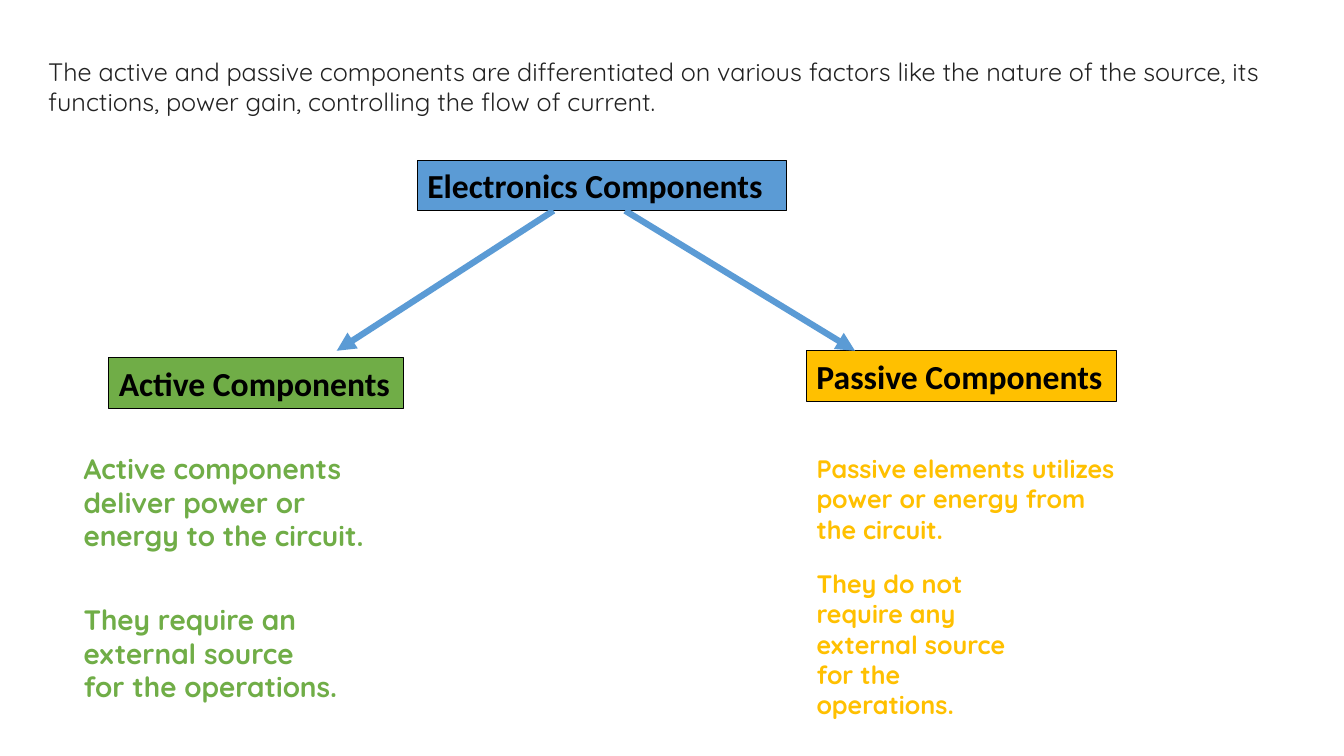
from dataclasses import dataclass
from pptx import Presentation
from pptx.dml.color import RGBColor as Rgb
from pptx.enum.shapes import MSO_CONNECTOR as Conn, MSO_SHAPE as Shape
from pptx.enum.text import MSO_ANCHOR as Anchor, MSO_AUTO_SIZE as Fit, PP_ALIGN as Align
from pptx.oxml.ns import qn
from pptx.util import Pt
from lxml.etree import SubElement as Sub

UNIT = 9144  # EMU in one px, 100 px to the inch


@dataclass(frozen=True)
class Theme:
    blue: str = "5B9BD5"
    green: str = "70AD47"
    gold: str = "FFC000"
    black: str = "000000"
    ink: str = "222222"
    head: str = "Calibri"
    body: str = "Quicksand"
    title: int = 24
    large: int = 20
    small: int = 18
    edge: float = 0.75
    arrow: float = 4.5


LOOK = Theme()


def px(*vals):
    return [val * UNIT for val in vals]


def write(shape, text, font, size, color, bold=True, wrap=True):
    frame = shape.text_frame
    frame.word_wrap = wrap
    frame.auto_size = Fit.SHAPE_TO_FIT_TEXT
    frame.vertical_anchor = Anchor.TOP
    para = frame.paragraphs[0]
    para.alignment = Align.LEFT
    run = para.add_run()
    run.text = text
    run.font.name = font
    run.font.size = Pt(size)
    run.font.bold = bold
    run.font.color.rgb = Rgb.from_string(color)


def label(slide, box, text, fill, wrap=False):
    shape = slide.shapes.add_shape(Shape.RECTANGLE, *px(*box))
    shape.shadow.inherit = False
    shape.fill.solid()
    shape.fill.fore_color.rgb = Rgb.from_string(fill)
    shape.line.color.rgb = Rgb.from_string(LOOK.black)
    shape.line.width = Pt(LOOK.edge)
    write(shape, text, LOOK.head, LOOK.title, LOOK.black, wrap=wrap)


def note(slide, box, text, size, color, bold=True):
    shape = slide.shapes.add_textbox(*px(*box))
    write(shape, text, LOOK.body, size, color, bold)


def arrow(slide, start, end):
    line = slide.shapes.add_connector(Conn.STRAIGHT, *px(*start, *end))
    line.line.color.rgb = Rgb.from_string(LOOK.blue)
    line.line.width = Pt(LOOK.arrow)
    Sub(line.line._get_or_add_ln(), qn("a:tailEnd"), type="triangle")
    Sub(line._element.spPr, qn("a:effectLst"))


# Opening sentence
def intro(slide, box):
    note(slide, box, "The active and passive components are differentiated on "
         "various factors like the nature of the source, its functions, "
         "power gain, controlling the flow of current.",
         LOOK.small, LOOK.ink, bold=False)


# Top of the tree, with an arrow from its lower edge to each branch
def root(slide, box, links):
    left, top, _, high = box
    label(slide, box, "Electronics Components", LOOK.blue, wrap=True)
    for shift, end in links:
        arrow(slide, (left + shift, top + high), end)


# One branch: a label above its notes, offsets counted from the box corner
def branch(slide, box, tag, notes, size, color):
    left, top = box[:2]
    name, shift, wide = tag
    label(slide, (left + shift, top, wide, 50), name, color)
    for text, drop, wide, high in notes:
        note(slide, (left, top + drop, wide, high), text, size, color)


def main():
    deck = Presentation()
    deck.slide_width, deck.slide_height = px(1333, 750)
    slide = deck.slides.add_slide(deck.slide_layouts[6])

    intro(slide, (38, 51, 1235, 71))
    branch(slide, (73, 355, 327, 349), ("Active Components", 35, 292), [
        ("Active components deliver power or energy to the circuit.", 88, 299, 111),
        ("They require an external source for the operations.", 238, 272, 111),
    ], LOOK.large, LOOK.green)
    branch(slide, (800, 348, 319, 342), ("Passive Components", 0, 307), [
        ("Passive elements utilizes power or energy from the circuit.", 97, 319, 101),
        ("They do not require any external source for the operations.", 211, 241, 131),
    ], LOOK.small, LOOK.gold)
    root(slide, (414, 159, 366, 50), [(135, (334, 348)), (206, (848, 348))])

    deck.save("out.pptx")


if __name__ == "__main__":
    main()
